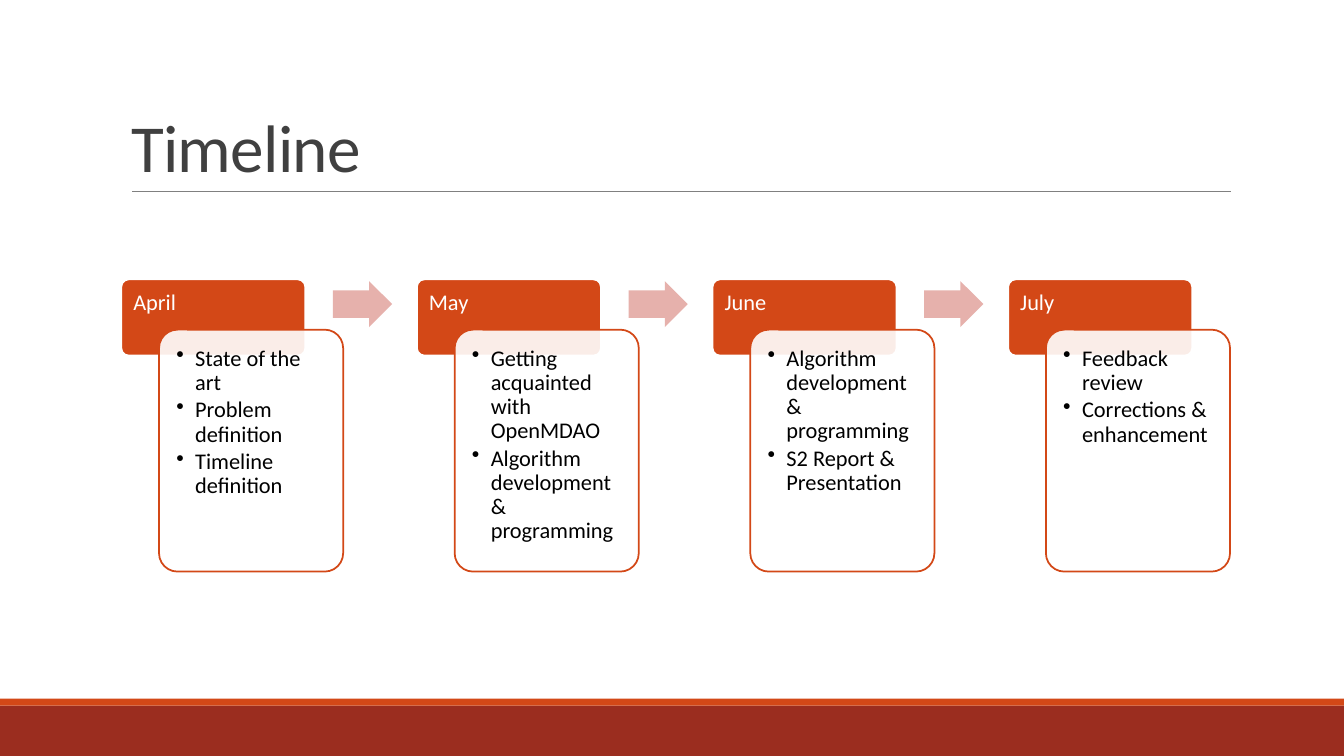
from dataclasses import dataclass

from lxml import etree
from pptx import Presentation
from pptx.dml.color import RGBColor
from pptx.enum import shapes, text
from pptx.oxml import ns
from pptx.util import Pt


@dataclass(frozen=True)
class Theme:
    font: str = "Calibri"
    title_size: float = 48
    body_size: float = 16
    outline: float = 1.25
    orange: str = "D34817"
    brick: str = "9B2D1F"
    pink: str = "E6B1AC"
    white: str = "FFFFFF"
    black: str = "000000"
    title: str = "404040"
    rule: str = "808080"


THEME = Theme()
SLIDE_W, SLIDE_H = 960, 540
MONTHS = [
    ("April", ["State of the art", "Problem definition", "Timeline definition"]),
    ("May", ["Getting acquainted with OpenMDAO",
             "Algorithm development & programming"]),
    ("June", ["Algorithm development & programming",
              "S2 Report & Presentation"]),
    ("July", ["Feedback review", "Corrections & enhancement"]),
]


def rgb(color):
    return RGBColor.from_string(color)


def add_block(s, kind, box, fill, line=None, adjustments=()):
    sp = s.shapes.add_shape(kind, *map(Pt, box))
    sp.shadow.inherit = False
    sp.fill.solid()
    sp.fill.fore_color.rgb = rgb(fill)
    if line:
        sp.line.color.rgb = rgb(line)
        sp.line.width = Pt(THEME.outline)
    else:
        sp.line.fill.background()
    for i, value in enumerate(adjustments):
        sp.adjustments[i] = value
    return sp


def write_paragraphs(sp, lines, color, inset, space_after):
    tf = sp.text_frame
    tf.word_wrap = True
    tf.vertical_anchor = text.MSO_ANCHOR.TOP
    tf.margin_left = tf.margin_right = Pt(inset)
    tf.margin_top = tf.margin_bottom = Pt(inset)
    tf.text = "\n".join(lines)
    for p in tf.paragraphs:
        p.alignment = text.PP_ALIGN.LEFT
        p.line_spacing = 0.9
        p.space_after = Pt(space_after)
        p.font.name = THEME.font
        p.font.size = Pt(THEME.body_size)
        p.font.color.rgb = rgb(color)
    return tf.paragraphs


def add_bullet(p, indent):
    pPr = p._p.get_or_add_pPr()
    pPr.set("marL", str(Pt(indent)))
    pPr.set("indent", str(-Pt(indent)))
    bullet = etree.Element(ns.qn("a:buChar"), char="•")
    # The schema wants the bullet ahead of the default run properties.
    pPr.find(ns.qn("a:defRPr")).addprevious(bullet)


def set_opacity(sp, percent):
    color = sp.fill._xPr.find(ns.qn("a:solidFill"))[0]
    etree.SubElement(color, ns.qn("a:alpha"), val=str(percent * 1000))


def add_title(s, box, title):
    """Title standing on a thin rule at the bottom of the box."""
    left, top, width, height = box
    sp = s.shapes.title
    sp.left, sp.top, sp.width, sp.height = map(Pt, box)
    tf = sp.text_frame
    tf.text = title
    tf.word_wrap = True
    tf.auto_size = text.MSO_AUTO_SIZE.NONE
    tf.vertical_anchor = text.MSO_ANCHOR.BOTTOM
    p = tf.paragraphs[0]
    p.alignment = text.PP_ALIGN.LEFT
    p.line_spacing = 0.85
    p.font.name = THEME.font
    p.font.size = Pt(THEME.title_size)
    p.font.color.rgb = rgb(THEME.title)
    p.runs[0].font._element.set("spc", "-50")

    y = top + height
    rule = s.shapes.add_connector(
        shapes.MSO_CONNECTOR.STRAIGHT,
        Pt(left + 8), Pt(y), Pt(left + width + 0.7), Pt(y))
    rule.line.color.rgb = rgb(THEME.rule)
    rule.line.width = Pt(0.5)
    etree.SubElement(rule._element.spPr, ns.qn("a:effectLst"))


def add_footer(s, box):
    left, top, width, height = box
    stripe = 5
    rect = shapes.MSO_SHAPE.RECTANGLE
    add_block(s, rect, (left, top + stripe, width, height - stripe), THEME.brick)
    add_block(s, rect, (left, top, width, stripe), THEME.orange)


def add_month(s, box, month, tasks):
    """Month tab at the top left, with the task card overlapping it."""
    left, top, width, height = box
    tab_w, tab_h = 131.5, 54.5
    card_dx, card_dy = 27, 36
    rounded = shapes.MSO_SHAPE.ROUNDED_RECTANGLE
    tab = add_block(s, rounded, (left, top, tab_w, tab_h),
                    THEME.orange, THEME.white, [0.1])
    write_paragraphs(tab, [month], THEME.white, 7, 5.6)

    card = add_block(
        s, rounded,
        (left + card_dx, top + card_dy, width - card_dx, height - card_dy),
        THEME.white, THEME.orange, [0.1])
    set_opacity(card, 90)
    for p in write_paragraphs(card, tasks, THEME.black, 8.5, 2.4):
        add_bullet(p, 13.5)


def add_timeline(s, box):
    left, top, width, height = box
    month_w = 158.5
    pitch = (width - month_w) / (len(MONTHS) - 1)
    for i, (month, tasks) in enumerate(MONTHS):
        x = left + i * pitch
        add_month(s, (x, top, month_w, height), month, tasks)
        if i < len(MONTHS) - 1:
            add_block(s, shapes.MSO_SHAPE.RIGHT_ARROW,
                      (x + 151.2, top + 1.3, 42.3, 32.8),
                      THEME.pink, adjustments=[0.6, 0.5])


def build_timeline_slide(prs):
    s = prs.slides.add_slide(prs.slide_layouts[5])
    add_footer(s, (0, SLIDE_H - 41, SLIDE_W, 41))
    add_title(s, (86.4, 22.5, 792, 114), "Timeline")
    add_timeline(s, (86.6, 199.5, 792, 208.8))


def main():
    prs = Presentation()
    prs.slide_width, prs.slide_height = Pt(SLIDE_W), Pt(SLIDE_H)
    build_timeline_slide(prs)
    prs.save("out.pptx")


if __name__ == "__main__":
    main()
